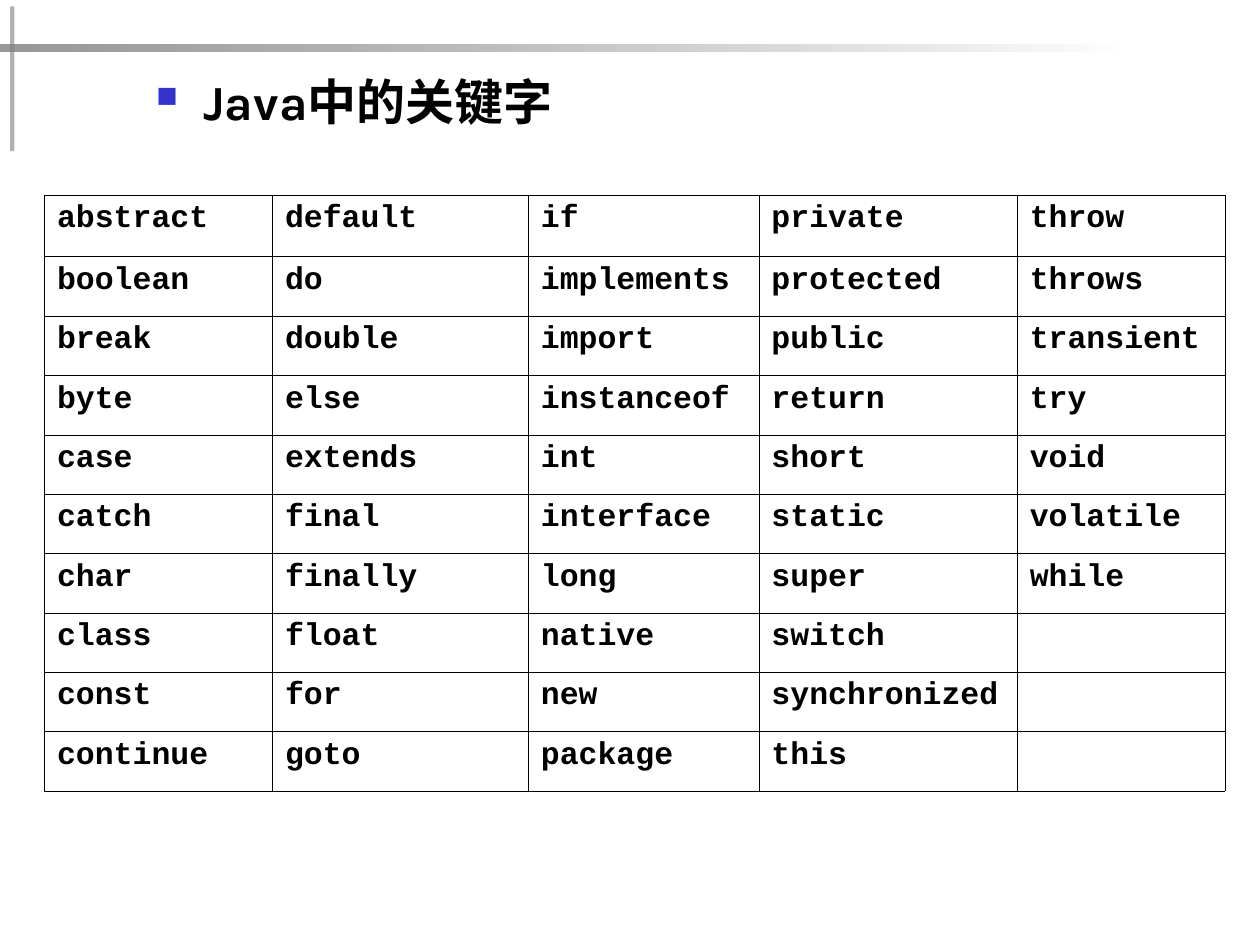
from lxml.etree import SubElement
from pptx import Presentation
from pptx.dml.color import RGBColor
from pptx.enum.shapes import MSO_SHAPE as SHAPE
from pptx.oxml.ns import qn
from pptx.util import Pt

COLORS = {
    "text": "000000",
    "bullet": "3333CC",
    "upright": "1C1C1C",
    "rule": "808080",
    "fade": "FFFFFF",
    "border": "000000",
}
KEYWORDS = [
    "abstract boolean break byte case catch char class const continue",
    "default do double else extends final finally float for goto",
    "if implements import instanceof int interface long native new package",
    "private protected public return short static super switch synchronized this",
    "throw throws transient try void volatile while",
]
COL_WIDTHS = [130.3, 146.2, 131.8, 147.6, 118.8]
HEAD_HEIGHT = 35.3


def rgb(name):
    """Return the named colour."""
    return RGBColor.from_string(COLORS[name])


def add_run(p, text, font, size):
    """Add a bold run to a paragraph."""
    r = p.add_run()
    r.text = text
    r.font.name, r.font.size, r.font.bold = font, Pt(size), True
    r.font.color.rgb = rgb("text")


def set_alpha(color_el, percent):
    """Make a colour element partly transparent."""
    SubElement(color_el, qn("a:alpha"), val=str(percent * 1000))


def add_bar(s, x, y, w, h):
    """Add a rectangle without line or shadow."""
    sp = s.shapes.add_shape(SHAPE.RECTANGLE, Pt(x), Pt(y), Pt(w), Pt(h))
    sp.shadow.inherit = False
    sp.line.fill.background()
    return sp


def add_corner_rules(s, x, y):
    """Draw the crossed rules in the top left corner."""
    upright = add_bar(s, x + 5.8, y + 3.6, 2.5, 82.8)
    upright.fill.solid()
    upright.fill.fore_color.rgb = rgb("upright")
    rule = add_bar(s, x, y + 25.6, 648, 3.6)
    rule.fill.gradient()
    rule.fill.gradient_angle = 0
    for stop, name, at in zip(rule.fill.gradient_stops, ("rule", "fade"), (0, 1)):
        stop.color.rgb = rgb(name)
        stop.position = at
    for sp, percent in ((upright, 34), (rule, 81)):
        set_alpha(next(sp.element.spPr.iter(qn("a:srgbClr"))), percent)


def add_heading(s, x, y, w, h):
    """Add the bulleted heading."""
    tf = s.shapes.add_textbox(Pt(x), Pt(y), Pt(w), Pt(h)).text_frame
    tf.word_wrap = True
    p = tf.paragraphs[0]
    pPr = p._p.get_or_add_pPr()
    pPr.set("marL", str(Pt(27)))
    pPr.set("indent", str(Pt(-27)))
    color = SubElement(pPr, qn("a:buClr"))
    SubElement(color, qn("a:srgbClr"), val=COLORS["bullet"])
    SubElement(pPr, qn("a:buSzPct"), val="60000")
    SubElement(pPr, qn("a:buChar"), char="■")
    add_run(p, "Java中的关键字", "Karla", 28)


def set_borders(cell, widths):
    """Draw the left, right, top and bottom borders of a cell."""
    tcPr = cell._tc.get_or_add_tcPr()
    for i, (side, width) in enumerate(zip("LRTB", widths)):
        ln = SubElement(tcPr, qn(f"a:ln{side}"), w=str(Pt(width)))
        fill = SubElement(ln, qn("a:solidFill"))
        SubElement(fill, qn("a:srgbClr"), val=COLORS["border"])
        tcPr.insert(i, ln)


def add_keyword_table(s, x, y, w, h):
    """Add the keywords, listed down each column."""
    columns = [words.split() for words in KEYWORDS]
    n = max(len(words) for words in columns)
    table = s.shapes.add_table(n, len(columns), Pt(x), Pt(y), Pt(w), Pt(h)).table
    table.first_row = table.horz_banding = False
    for col, width in zip(table.columns, COL_WIDTHS):
        col.width = Pt(width)
    for i, row in enumerate(table.rows):
        row.height = Pt(HEAD_HEIGHT if i == 0 else (h - HEAD_HEIGHT) / (n - 1))
        for cell, words in zip(row.cells, columns):
            cell.fill.background()
            top = 0.45 if i == 0 else 0.34
            bottom = 0.45 if i == n - 1 else 0.34
            set_borders(cell, (0.34, 0.34, top, bottom))
            if i < len(words):
                add_run(cell.text_frame.paragraphs[0], words[i], "Courier New", 18)


def main():
    """Build and save the slide."""
    prs = Presentation()
    prs.slide_width, prs.slide_height = Pt(720), Pt(540)
    s = prs.slides.add_slide(prs.slide_layouts[6])
    add_corner_rules(s, 0, 0)
    add_heading(s, 82.1, 37.4, 351.4, 56.9)
    add_keyword_table(s, 25.4, 111.4, sum(COL_WIDTHS), 340.9)
    prs.save("out.pptx")


if __name__ == "__main__":
    main()
